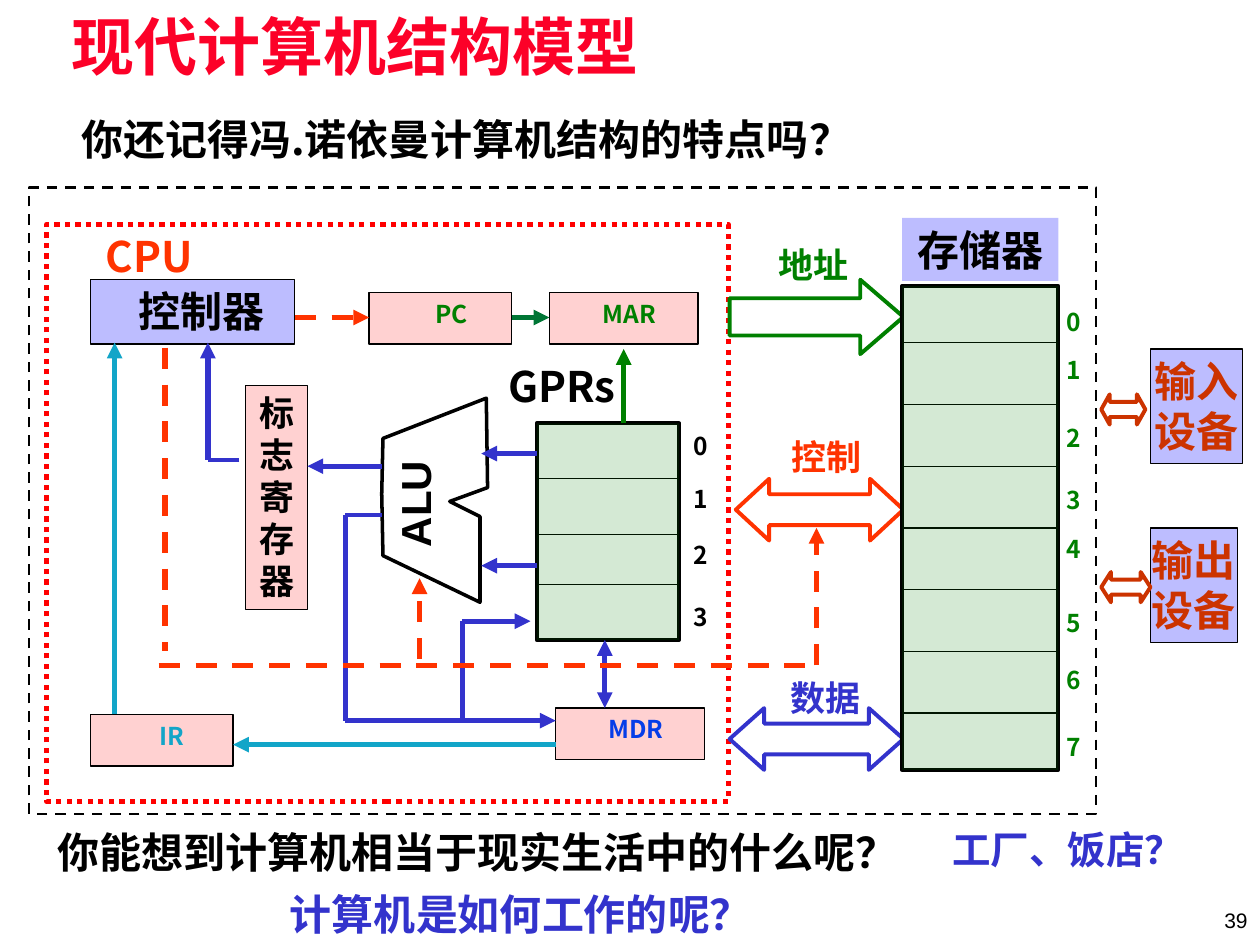
from lxml import etree
from pptx import Presentation
from pptx.dml.color import RGBColor
from pptx.enum.dml import MSO_LINE
from pptx.enum.shapes import MSO_CONNECTOR, MSO_SHAPE
from pptx.enum.text import MSO_ANCHOR, PP_ALIGN
from pptx.oxml.ns import qn
from pptx.util import Inches, Pt

RECT, TWO_WAY, ONE_WAY = MSO_SHAPE.RECTANGLE, MSO_SHAPE.LEFT_RIGHT_ARROW, MSO_SHAPE.RIGHT_ARROW
DASH, DOT = MSO_LINE.DASH, MSO_LINE.ROUND_DOT
CENTER, LEFT, RIGHT = PP_ALIGN.CENTER, PP_ALIGN.LEFT, PP_ALIGN.RIGHT
TOP, MIDDLE = MSO_ANCHOR.TOP, MSO_ANCHOR.MIDDLE

THEME = dict(
    cjk="Noto Sans CJK SC", latin="Arial",
    black="000000", white="FFFFFF", title="FC0128", frame="FF0000", control="FF3300",
    data="3333CC", green="008000", step="007635", cyan="12A5C8", mdr="063DE8", device="CC3300",
    blue_tint=("0000FF", 26), red_tint=("FF0000", 18), green_tint=("008000", 17),
    title_size=36, head=24, answer=22, bus=20, small=14, number=12,
)

# Content: text, (left, top, width, height), colour, size
TITLE = "现代计算机结构模型"
LABELS = [
    ("CPU", (0.72, 1.78, 0.93, 0.5), "control", "head"),
    ("地址", (5.99, 1.88, 0.94, 0.43), "green", "bus"),
    ("控制", (6.09, 3.41, 0.94, 0.43), "control", "bus"),
    ("数据", (6.13, 5.32, 0.84, 0.43), "data", "bus"),
    ("GPRs", (3.82, 2.81, 1.28, 0.5), "black", "head"),
    ("你还记得冯.诺依曼计算机结构的特点吗？", (0.23, 0.85, 6.94, 0.5), "black", "head"),
    ("工厂、饭店？", (7.46, 6.51, 2.03, 0.47), "data", "answer"),
    ("计算机是如何工作的呢？", (0.37, 7, 7.53, 0.5), "data", "head"),
    ("你能想到计算机相当于现实生活中的什么呢？", (0.32, 6.51, 6.94, 0.5), "black", "head"),
]
# Units: text, place, tint, outline, colour, size, left and right inset
UNITS = [
    ("控制器", (0.72, 2.22, 1.62, 0.51), "blue_tint", "black", "black", "head", (0.24, 0.1)),
    ("PC", (2.93, 2.32, 1.13, 0.41), "red_tint", "black", "green", "small", (0.28, 0.1)),
    ("MAR", (4.36, 2.32, 1.18, 0.41), "red_tint", "black", "green", "small", (0.19, 0.1)),
    ("MDR", (4.41, 5.62, 1.18, 0.41), "red_tint", "black", "mdr", "small", (0.19, 0.1)),
    ("IR", (0.72, 5.67, 1.13, 0.41), "red_tint", "black", "cyan", "small", (0.26, 0.1)),
    ("标\n志\n寄\n存\n器", (1.95, 3.06, 0.49, 1.78), "red_tint", "black", "black", "bus", (0.1, 0.1)),
    ("输入\n设备", (9.13, 2.77, 0.73, 0.91), "blue_tint", "black", "device", "head", (0, 0)),
    ("输出\n设备", (9.13, 4.19, 0.69, 0.91), "blue_tint", "black", "device", "head", (0, 0)),
    ("存储器", (7.16, 1.73, 1.24, 0.5), "blue_tint", None, "black", "head", (0.1, 0.1)),
]
BLOCK_ARROWS = [
    (ONE_WAY, (5.79, 2.22, 1.38, 0.59), "green", 0.58),
    (TWO_WAY, (5.84, 3.8, 1.33, 0.49), "control", 0.54),
    (TWO_WAY, (5.79, 5.62, 1.38, 0.49), "data", 0.56),
    (TWO_WAY, (8.74, 3.13, 0.35, 0.24), "device", 0.28),
    (TWO_WAY, (8.74, 4.54, 0.39, 0.24), "device", 0.32),
]
# Storage banks: place, row divider heights, number box left and width, number tops, colour
BANKS = [
    ((4.26, 3.36, 1.13, 1.72), [3.8, 4.24, 4.64], (5.39, 0.35), [3.37, 3.79, 4.24, 4.73], "black"),
    ((7.16, 2.27, 1.24, 3.84), [2.72 + 0.49 * row for row in range(7)], (8.36, 0.33),
     [2.39, 2.77, 3.31, 3.8, 4.19, 4.78, 5.23, 5.76], "green"),
]
# Wires: x1, y1, x2, y2, colour, width, arrowheads, dash
WIRES = [
    (2.34, 2.52, 2.93, 2.52, "control", 3, ["tail"], DASH),
    (4.06, 2.52, 4.36, 2.52, "step", 3, ["tail"], None),
    (4.8, 5.08, 4.8, 5.62, "data", 3, ["head", "tail"], None),
    (4.26, 3.6, 3.82, 3.6, "data", 3, ["tail"], None),
    (4.26, 4.49, 3.82, 4.49, "data", 3, ["tail"], None),
    (3.03, 3.7, 2.44, 3.7, "data", 3, ["tail"], None),
    (1.9, 3.65, 1.65, 3.65, "data", 2.25, [], None),
    (1.65, 3.65, 1.65, 2.72, "data", 3, ["tail"], None),
    (4.95, 3.36, 4.95, 2.77, "green", 3, ["tail"], None),
    (3.03, 4.09, 2.74, 4.09, "data", 2.25, [], None),
    (2.74, 4.09, 2.74, 5.72, "data", 3, [], None),
    (2.74, 5.72, 4.41, 5.72, "data", 3, ["tail"], None),
    (3.67, 5.72, 3.67, 4.93, "data", 3, [], None),
    (3.67, 4.93, 4.21, 4.93, "data", 3, ["tail"], None),
    (1.26, 5.28, 6.43, 5.28, "control", 3, [], DASH),
    (1.31, 2.76, 1.31, 5.17, "control", 3, [], DASH),
    (3.33, 5.23, 3.33, 4.59, "control", 3, ["tail"], DASH),
    (6.48, 5.28, 6.48, 4.19, "control", 3, ["tail"], DASH),
    (4.41, 5.91, 1.85, 5.91, "cyan", 3, ["tail"], None),
    (0.91, 5.67, 0.91, 2.72, "cyan", 3, ["tail"], None),
]
ALU_OUTLINE = [(3.86, 3.16), (3.87, 3.87), (3.57, 3.98), (3.81, 4.1), (3.81, 4.78),
               (3.04, 4.41), (3.03, 3.92), (3.04, 3.48)]

deck = Presentation()
deck.slide_width, deck.slide_height = Inches(10), Inches(7.5)
page = deck.slides.add_slide(deck.slide_layouts[5])


def color(name):
    return RGBColor.from_string(THEME[name])


def paint(shape, fill=None, line=None, width=0.75, dash=None):
    shape.shadow.inherit = False
    if fill is None:
        shape.fill.background()
    else:
        shape.fill.solid()
        value = THEME[fill]
        if isinstance(value, tuple):
            value, opacity = value
            shape.fill.fore_color.rgb = RGBColor.from_string(value)
            tone = shape.fill._xPr.find(".//" + qn("a:srgbClr"))
            etree.SubElement(tone, qn("a:alpha"), val=str(opacity * 1000))
        else:
            shape.fill.fore_color.rgb = color(fill)
    if line is None:
        shape.line.fill.background()
    else:
        stroke(shape.line, line, width, dash)


def stroke(line, name, width, dash=None):
    line.color.rgb = color(name)
    line.width = Pt(width)
    if dash:
        line.dash_style = dash


def write(shape, text, tone, size, font="cjk", align=CENTER, anchor=TOP,
          inset=(0.1, 0.1), pad=0.05, spacing=None, bold=True):
    frame = shape.text_frame
    frame.text = text
    frame.word_wrap = True
    frame.vertical_anchor = anchor
    frame.margin_left, frame.margin_right = map(Inches, inset)
    frame.margin_top = frame.margin_bottom = Inches(pad)
    for para in frame.paragraphs:
        para.alignment = align
        para.line_spacing = spacing
        for span in para.runs:
            span.font.name = THEME[font]
            span.font.size = Pt(THEME[size])
            span.font.bold = bold
            span.font.color.rgb = color(tone)
            east = etree.SubElement(span.font._element, qn("a:ea"), typeface=THEME["cjk"])
            span.font._element.find(qn("a:latin")).addnext(east)


def add_box(place, kind=RECT, **look):
    box = page.shapes.add_shape(kind, *map(Inches, place))
    paint(box, **look)
    return box


def add_label(text, place, tone, size, **style):
    label = page.shapes.add_textbox(*map(Inches, place))
    write(label, text, tone, size, **style)
    return label


def add_wire(x1, y1, x2, y2, tone, width, heads=(), dash=None):
    wire = page.shapes.add_connector(MSO_CONNECTOR.STRAIGHT, *map(Inches, (x1, y1, x2, y2)))
    stroke(wire.line, tone, width, dash)
    for end in heads:
        etree.SubElement(wire.line._get_or_add_ln(), qn(f"a:{end}End"), type="triangle")
    etree.SubElement(wire._element.spPr, qn("a:effectLst"))


# Title
title = page.shapes.title
title.left, title.top, title.width, title.height = map(Inches, (0.5, 0.11, 9, 0.61))
write(title, TITLE, "title", "title_size", font="latin", align=LEFT,
      inset=(0.07, 0.07), pad=0.03, spacing=0.87)

# Frames of the computer and the processor
add_box((0.23, 1.49, 8.47, 4.97), line="black", width=1.5, dash=DASH)
add_box((0.37, 1.78, 5.41, 4.58), line="frame", width=3, dash=DOT)

# Units
for text, place, tint, outline, tone, size, inset in UNITS:
    write(add_box(place, fill=tint, line=outline), text, tone, size, inset=inset)

# Arithmetic unit
pen = page.shapes.build_freeform(*map(Inches, ALU_OUTLINE[0]))
pen.add_line_segments([(Inches(x), Inches(y)) for x, y in ALU_OUTLINE[1:]], close=True)
paint(pen.convert_to_shape(), line="black", width=2)
add_label("ALU", (2.87, 3.77, 0.89, 0.46), "black", "head", font="latin", spacing=0.9).rotation = 270

# Buses and device links
for kind, place, tone, head in BLOCK_ARROWS:
    arrow = add_box(place, kind, fill="white", line=tone, width=2.25)
    arrow.adjustments[0], arrow.adjustments[1] = 0.5, head

# Register and memory banks
for place, dividers, (number_left, number_width), tops, tone in BANKS:
    add_box(place, fill="white", line="black", width=2.25)
    for y in dividers:
        add_wire(place[0], y, place[0] + place[2], y, "black", 0.75)
    for index, top in enumerate(tops):
        add_label(str(index), (number_left, top, number_width, 0.4), tone, "small")
    add_box(place, fill="green_tint")

# Wires, labels and page number
for wire in WIRES:
    add_wire(*wire)
for label in LABELS:
    add_label(*label)
add_label("39", (7.75, 7.1, 2.25, 0.4), "black", "number", font="latin",
          align=RIGHT, anchor=MIDDLE, bold=False)

deck.save("out.pptx")
